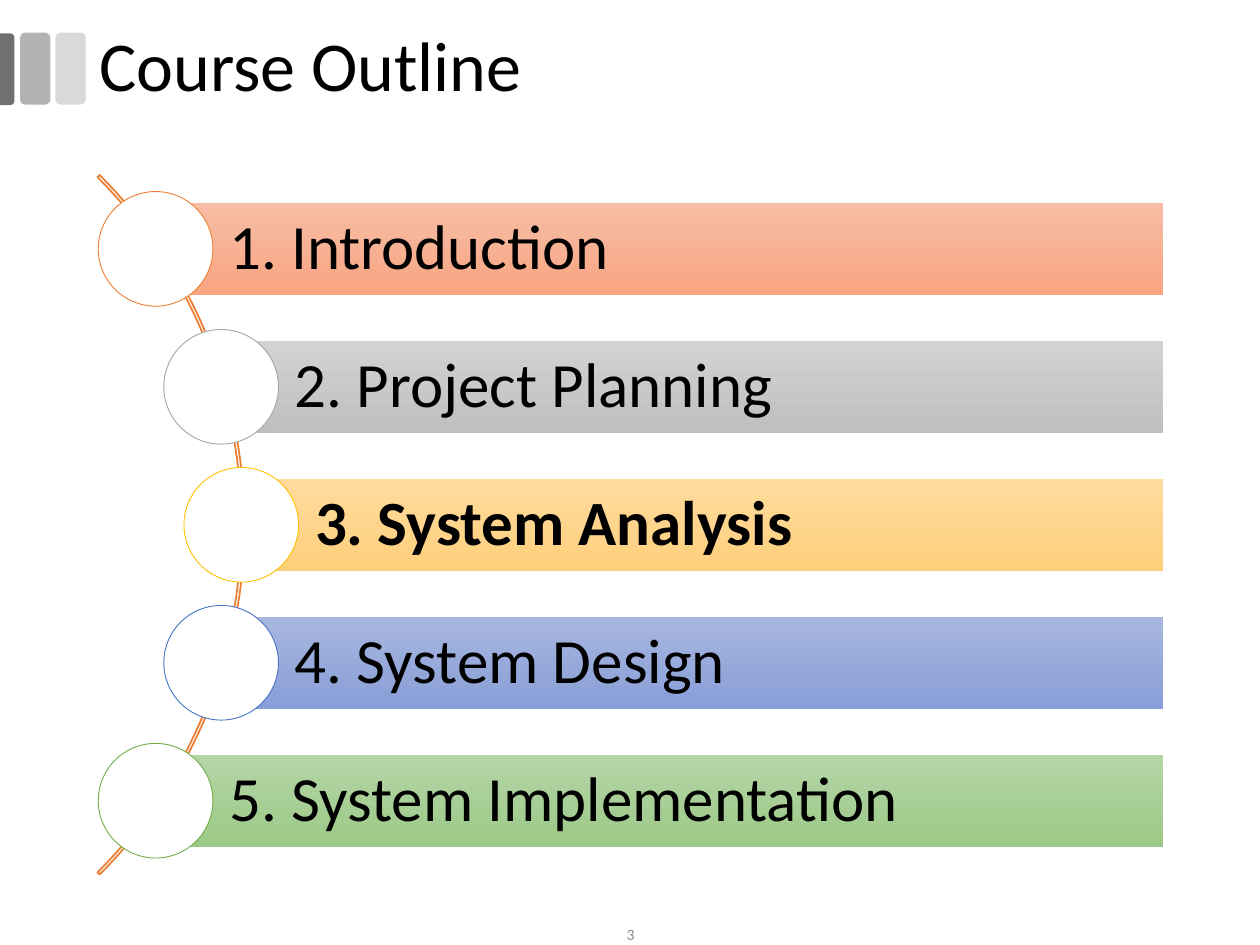
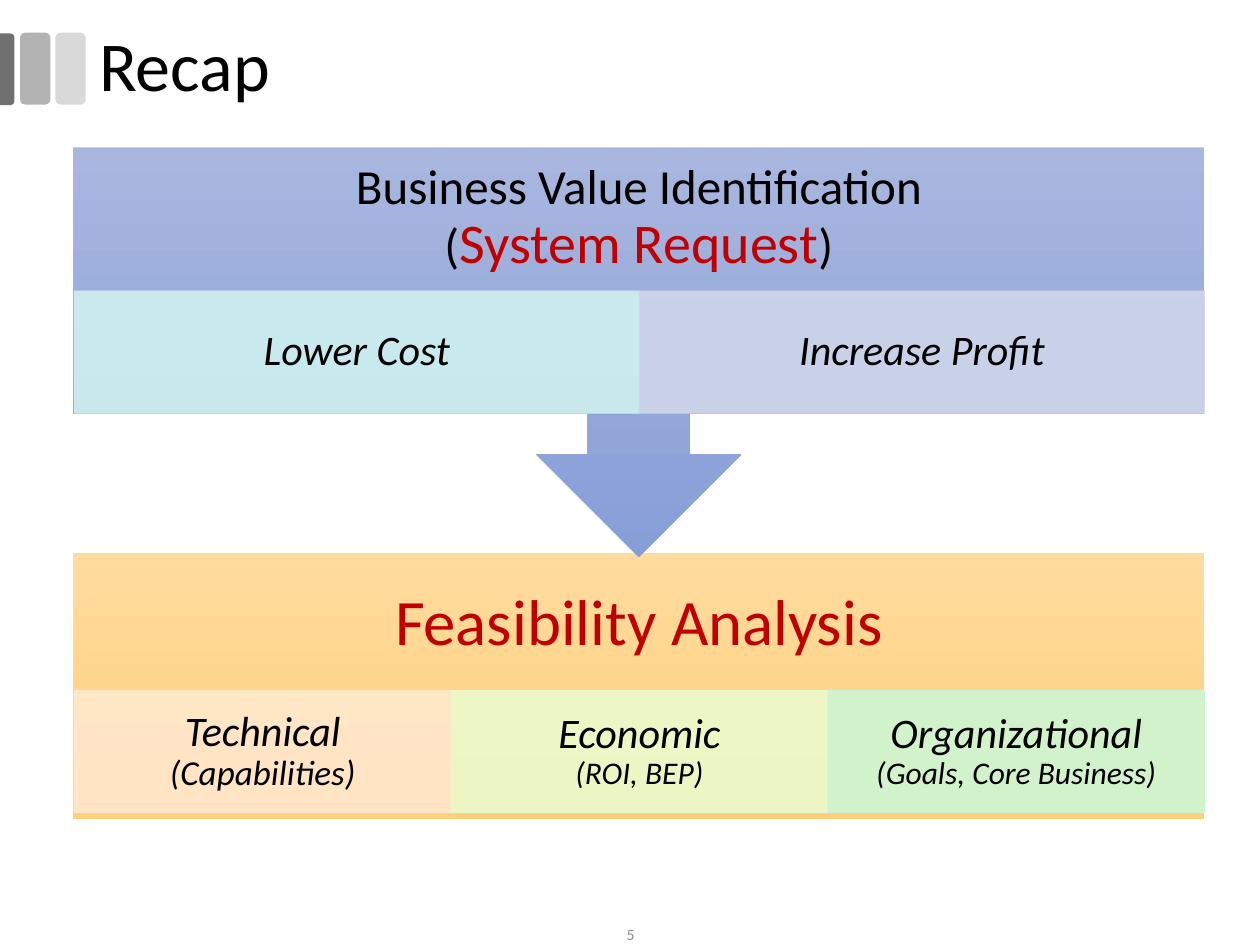
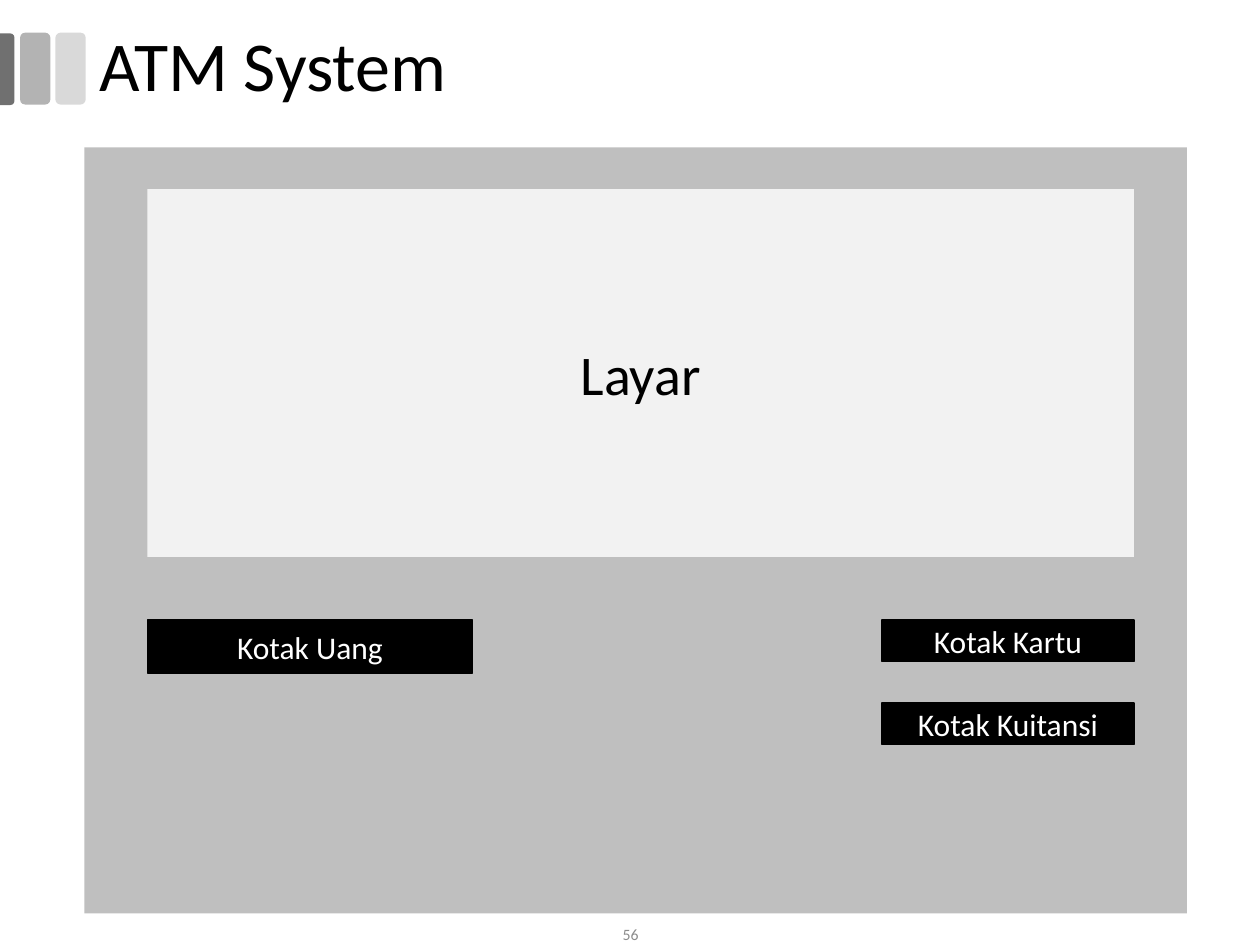
"""Build three course slides: outline, recap and ATM system."""
from lxml import etree
from pptx import Presentation
from pptx import util as u
from pptx.dml.color import RGBColor
from pptx.enum import shapes, text
from pptx.oxml.ns import qn

COLORS = {
    "black": "000000", "white": "FFFFFF", "red": "C00000", "number": "8C8C8C",
    "light_band": "D9D9D9", "middle_band": "B3B3B3", "dark_band": "707070",
    "orange": "ED7D31", "gray": "A5A5A5", "gold": "FFC000", "blue": "4472C4", "green": "70AD47",
    "peach": "FFE8CC", "lime": "EAFBCC", "mint": "CCF6D3", "aqua": "CEF0EF", "lavender": "CFD6EA",
    "machine": "BFBFBF", "screen": "F2F2F2",
}
GRADIENTS = {
    "orange": ("F7BDA5", "F8A582"), "gray": ("D2D2D2", "C0C0C0"), "gold": ("FFDB9E", "FFD07C"),
    "blue": ("A8B7DF", "889ED7"), "green": ("B5D5A7", "9CC987"),
}
SHAPE = shapes.MSO_SHAPE
CENTER = text.PP_ALIGN.CENTER


def rgb(name):
    """Return the named colour."""
    return RGBColor.from_string(COLORS[name])


def write_text(shape, content, size=18, color="black", align=CENTER, bold=False, italic=False,
               spacing=1, insets=(0.1, 0.05, 0.1, 0.05)):
    """Fill a shape with one paragraph of text, or of (text, overrides) runs."""
    frame = shape.text_frame
    frame.word_wrap = True
    frame.vertical_anchor = text.MSO_ANCHOR.MIDDLE
    for side, inset in zip(("left", "top", "right", "bottom"), insets):
        setattr(frame, f"margin_{side}", u.Inches(inset))
    paragraph = frame.paragraphs[0]
    paragraph.alignment = align
    paragraph.line_spacing = spacing
    for words, override in [(content, {})] if isinstance(content, str) else content:
        for index, line in enumerate(words.split("\n")):
            if index:
                paragraph.add_line_break()
            if not line:
                continue
            run = paragraph.add_run()
            run.text = line
            run.font.name = "Calibri"
            run.font.size = u.Pt(override.get("size", size))
            run.font.color.rgb = rgb(override.get("color", color))
            run.font.bold = bold
            run.font.italic = italic


class Deck:
    """Hold the shared style and the current slide."""

    def __init__(self):
        """Start an empty presentation of 10 by 7.5 inches."""
        self.presentation = Presentation()
        self.presentation.slide_width = u.Inches(10)
        self.presentation.slide_height = u.Inches(7.5)
        self.slide = None

    def add_slide(self, title, number):
        """Add a slide with its bands, title and page number."""
        self.slide = self.presentation.slides.add_slide(self.presentation.slide_layouts[6])
        for left, color in ((0.44, "light_band"), (0.16, "middle_band")):
            self.add_shape((left, 0.26, 0.24, 0.57), color, kind=SHAPE.ROUNDED_RECTANGLE)
        edge = self.add_shape((-0.23, 0.49, 0.57, 0.12), "dark_band",
                              kind=SHAPE.ROUND_2_SAME_RECTANGLE, adjustments=(0.292, 0))
        edge.rotation = 90
        self.add_text((0.69, 0.17, 9.3, 0.75), title, size=40, align=text.PP_ALIGN.LEFT, spacing=0.9)
        self.add_text((3.88, 7.33, 2.25, 0.17), str(number), size=9, color="number")

    def add_text(self, box, content, **style):
        """Add a text box."""
        write_text(self.slide.shapes.add_textbox(*map(u.Inches, box)), content, **style)

    def add_shape(self, box, fill=None, kind=SHAPE.RECTANGLE, line=None, width=1, gradient=False,
                  opacity=None, adjustments=(), content=None, **style):
        """Add a preset shape, with text if any is given."""
        shape = self.slide.shapes.add_shape(kind, *map(u.Inches, box))
        shape.shadow.inherit = False
        for index, value in enumerate(adjustments):
            shape.adjustments[index] = value
        if gradient:
            shape.fill.gradient()
            shape.fill.gradient_angle = 270
            for stop, color in zip(shape.fill.gradient_stops, GRADIENTS[fill]):
                stop.color.rgb = RGBColor.from_string(color)
        elif fill:
            shape.fill.solid()
            shape.fill.fore_color.rgb = rgb(fill)
        else:
            shape.fill.background()
        if line:
            shape.line.color.rgb = rgb(line)
            shape.line.width = u.Pt(width)
        else:
            shape.line.fill.background()
        if opacity:
            for color in list(shape.element.spPr.iter(qn("a:srgbClr"))):
                etree.SubElement(color, qn("a:alpha")).set("val", str(opacity * 1000))
        if content:
            write_text(shape, content, **style)
        return shape

    def add_cells(self, top, cells):
        """Add a row of equal translucent cells across the block."""
        width = 8.97 / len(cells)
        for index, (content, color) in enumerate(cells):
            self.add_shape((0.59 + index * width, top, width, 0.97), color, line=color, width=0.5,
                           opacity=90, content=content, size=24, italic=True, spacing=0.9,
                           insets=(0.19, 0.03, 0.19, 0.03))


def build_outline(deck):
    """Draw the chapter list along an arc."""
    deck.add_slide("Course Outline", 3)
    deck.add_shape((-5.91, 0.24, 7.85, 7.85), kind=SHAPE.BLOCK_ARC, line="orange",
                   adjustments=(189, 27, 0.003))
    chapters = (
        ("1. Introduction", "orange", 1.24), ("2. Project Planning", "gray", 1.76),
        ("3. System Analysis", "gold", 1.92), ("4. System Design", "blue", 1.76),
        ("5. System Implementation", "green", 1.24),
    )
    pitch = 4.38 / (len(chapters) - 1)
    for index, (chapter, color, left) in enumerate(chapters):
        top = 1.61 + index * pitch
        deck.add_shape((left, top, 9.23 - left, 0.73), color, gradient=True, content=chapter,
                       size=36, bold=color == "gold", align=text.PP_ALIGN.LEFT, spacing=0.9,
                       insets=(0.58, 0.1, 0.1, 0.1))
        deck.add_shape((left - 0.46, top - 0.09, 0.91, 0.91), "white", kind=SHAPE.OVAL,
                       line=color, width=0.5)


def build_recap(deck):
    """Draw the step from business value to feasibility."""
    deck.add_slide("Recap", 5)
    deck.add_shape((0.58, 4.39, 8.98, 2.11), "gold", gradient=True)
    deck.add_text((0.58, 4.39, 8.98, 1.14), "Feasibility Analysis", size=37, color="red",
                  spacing=0.9, insets=(0.29,) * 4)
    deck.add_cells(5.48, (
        ([("Technical ", {}), ("(Capabilities)", {"size": 20})], "peach"),
        ([("Economic\n", {}), ("(ROI, BEP)", {"size": 18})], "lime"),
        ([("Organizational\n", {}), ("(Goals, Core Business)", {"size": 18})], "mint"),
    ))
    deck.add_shape((0.58, 1.17, 8.98, 3.25), "blue", kind=SHAPE.DOWN_ARROW_CALLOUT, gradient=True)
    deck.add_text((0.58, 1.17, 8.98, 1.14),
                  [("Business Value Identification\n(", {}),
                   ("System Request", {"size": 32, "color": "red"}), (")", {})],
                  size=28, spacing=0.9, insets=(0.22,) * 4)
    deck.add_cells(2.31, (("Lower Cost", "aqua"), ("Increase Profit", "lavender")))


def build_machine(deck):
    """Draw the front of the cash machine."""
    deck.add_slide("ATM System", 56)
    deck.add_shape((0.67, 1.17, 8.75, 6.08), "machine")
    deck.add_shape((1.17, 1.5, 7.83, 2.92), "screen", content="Layar", size=32)
    for label, box in (("Kotak Uang", (1.17, 4.92, 2.58, 0.42)),
                       ("Kotak Kartu", (7, 4.92, 2, 0.33)),
                       ("Kotak Kuitansi", (7, 5.58, 2, 0.33))):
        deck.add_shape(box, "black", line="black", content=label, color="white")


def main():
    """Build all slides and save them."""
    deck = Deck()
    build_outline(deck)
    build_recap(deck)
    build_machine(deck)
    deck.presentation.save("out.pptx")


if __name__ == "__main__":
    main()
